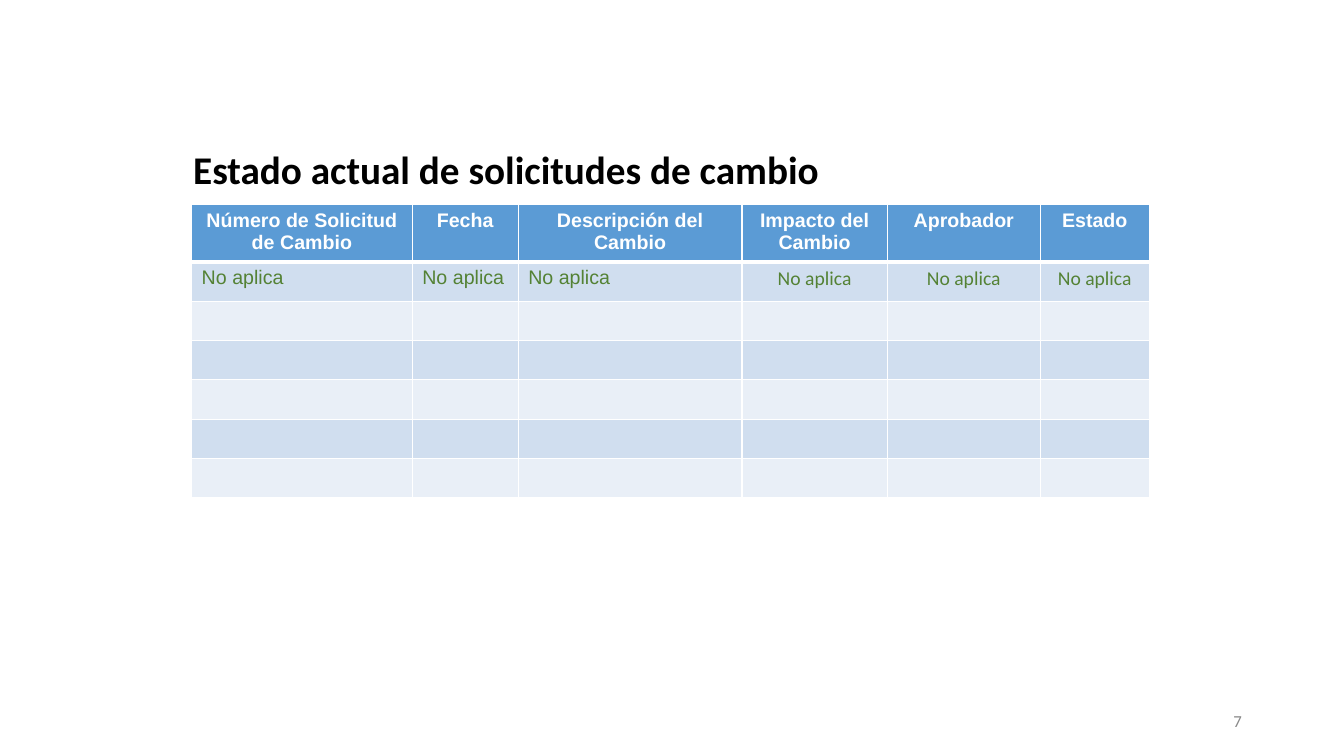
from lxml.etree import SubElement
from pptx import Presentation
from pptx.dml.color import RGBColor
from pptx.enum.text import MSO_ANCHOR, PP_ALIGN
from pptx.oxml import parse_xml
from pptx.oxml.ns import nsdecls
from pptx.util import Cm, Pt

COLORS = {
    "title": "000000", "number": "888888", "white": "FFFFFF",
    "header": "5B9BD5", "odd": "D0DEEF", "even": "E9EFF7", "entry": "548235",
}
HEADERS = ["Número de Solicitud de Cambio", "Fecha", "Descripción del Cambio",
           "Impacto del Cambio", "Aprobador", "Estado"]
COLUMN_WIDTHS = [5.56, 2.67, 5.64, 3.66, 3.86, 2.74]
LEFT_COLUMNS = 3
EMPTY_ROWS = 5
ROW_HEIGHT = 0.99


class SlideBuilder:
    """Holds the style and the slide being built."""

    def __init__(self, slide, colors):
        self.s = slide
        self.colors = colors

    def rgb(self, name):
        """Return a named colour."""
        return RGBColor.from_string(self.colors[name])

    def style(self, p, font, size, color, bold=False, align=PP_ALIGN.LEFT):
        """Set the font and alignment of a paragraph."""
        p.alignment = align
        p.font.name, p.font.size, p.font.bold = font, Pt(size), bold
        p.font.color.rgb = self.rgb(color)

    def text(self, text, box, **style):
        """Add a vertically centred text box; box is in centimetres."""
        tf = self.s.shapes.add_textbox(*map(Cm, box)).text_frame
        tf.word_wrap = True
        tf.vertical_anchor = MSO_ANCHOR.MIDDLE
        tf.text = text
        self.style(tf.paragraphs[0], **style)

    def borders(self, cell, bottom):
        """Draw white cell borders, with the bottom width in points."""
        tc_pr = cell._tc.get_or_add_tcPr()
        widths = {"lnL": 1, "lnR": 1, "lnT": 1, "lnB": bottom}
        for i, (side, width) in enumerate(widths.items()):
            ln = parse_xml(f'<a:{side} {nsdecls("a")} w="{Pt(width)}"/>')
            fill = SubElement(ln, ln.tag.replace(side, "solidFill"))
            SubElement(fill, ln.tag.replace(side, "srgbClr"), val=self.colors["white"])
            tc_pr.insert(i, ln)

    def cell(self, cell, text, fill, bottom=1, **style):
        """Fill, border and write one table cell."""
        cell.fill.solid()
        cell.fill.fore_color.rgb = self.rgb(fill)
        self.borders(cell, bottom)
        cell.text = text
        self.style(cell.text_frame.paragraphs[0], size=14, **style)

    def table(self, left, top, rows):
        """Add the table of change requests with banded rows."""
        size = Cm(sum(COLUMN_WIDTHS)), Cm(ROW_HEIGHT * len(rows))
        table = self.s.shapes.add_table(
            len(rows), len(COLUMN_WIDTHS), Cm(left), Cm(top), *size).table
        for column, width in zip(table.columns, COLUMN_WIDTHS):
            column.width = Cm(width)
        for i, row in enumerate(rows):
            table.rows[i].height = Cm(ROW_HEIGHT)
            for j, text in enumerate(row):
                cell = table.cell(i, j)
                if i == 0:
                    self.cell(cell, text, "header", bottom=3, font="Arial",
                              color="white", bold=True, align=PP_ALIGN.CENTER)
                else:
                    is_left = j < LEFT_COLUMNS
                    self.cell(cell, text, "odd" if i % 2 else "even",
                              font="Arial" if is_left else "Calibri", color="entry",
                              align=PP_ALIGN.LEFT if is_left else PP_ALIGN.CENTER)


def main():
    """Build and save the slide."""
    prs = Presentation()
    prs.slide_width, prs.slide_height = Cm(33.87), Cm(19.05)
    slide = SlideBuilder(prs.slides.add_slide(prs.slide_layouts[6]), COLORS)
    slide.text("Estado actual de solicitudes de cambio", (4.62, 3.76, 21.59, 0.99),
               font="Calibri", size=28, color="title", bold=True)
    slide.text("7", (23.93, 17.65, 7.62, 1.02),
               font="Calibri", size=12, color="number", align=PP_ALIGN.RIGHT)
    columns = len(HEADERS)
    slide.table(4.83, 5.16, [HEADERS, ["No aplica"] * columns]
                + [[""] * columns] * EMPTY_ROWS)
    prs.save("out.pptx")


main()
